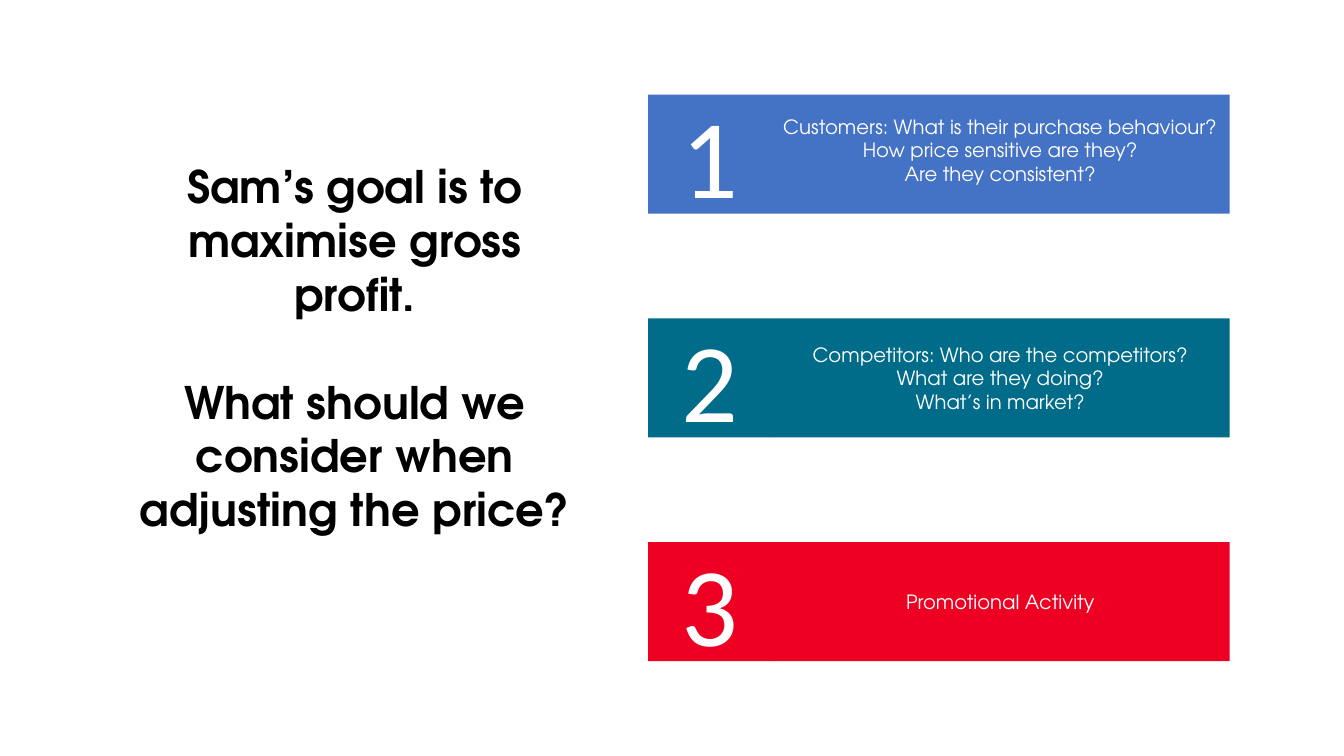
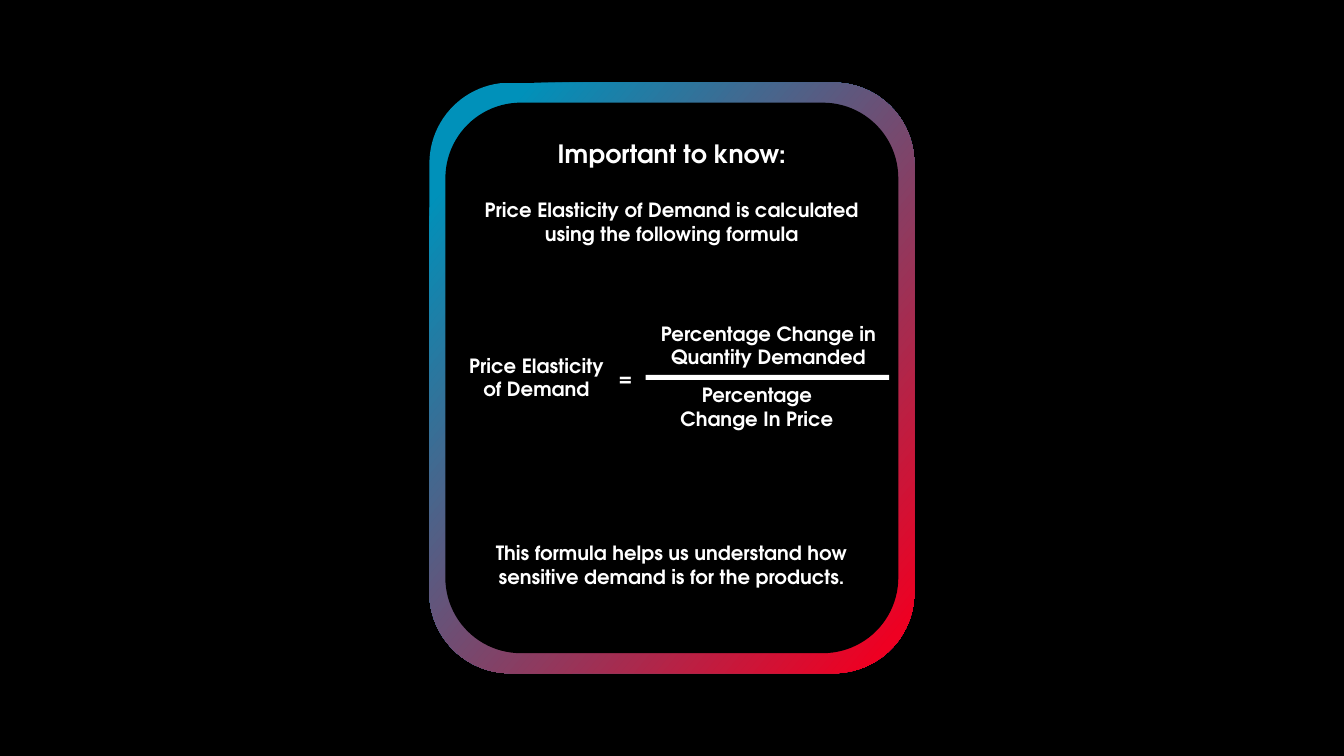
from dataclasses import dataclass

from pptx import Presentation
from pptx import util as u
from pptx.dml.color import RGBColor
from pptx.enum import shapes, text


@dataclass(frozen=True)
class Theme:
    """Colours, fonts and type sizes of the deck."""
    white: str = "FFFFFF"
    black: str = "000000"
    blue: str = "4472C4"
    teal: str = "006C8A"
    sky: str = "0091BA"
    red: str = "EE0022"
    face: str = "TeX Gyre Adventor"
    digit: str = "Calibri"
    body: int = 14
    head: int = 18
    title: int = 32
    huge: int = 80
    line: float = 1.2


@dataclass(frozen=True)
class Box:
    """A rectangle in inches."""
    x: float
    y: float
    w: float
    h: float

    def cut(self, x, y, w, h):
        """Return a part given in percent of this box."""
        return Box(self.x + self.w * x / 100, self.y + self.h * y / 100,
                   self.w * w / 100, self.h * h / 100)

    def place(self):
        """Return left, top, width and height as lengths."""
        return [u.Inches(n) for n in (self.x, self.y, self.w, self.h)]


T = Theme()
PAGE = Box(0, 0, 13.33, 7.5)
KIND = shapes.MSO_SHAPE
MIDDLE = text.MSO_ANCHOR.MIDDLE
TOP = text.MSO_ANCHOR.TOP


def panel(slide, box, fill=None, kind=KIND.RECTANGLE):
    """Add a plain shape without line or shadow."""
    shape = slide.shapes.add_shape(kind, *box.place())
    shape.shadow.inherit = False
    shape.line.fill.background()
    if fill:
        shape.fill.solid()
        shape.fill.fore_color.rgb = RGBColor.from_string(fill)
    return shape


def write(shape, *lines, size=T.body, face=T.face, color=T.white, bold=False,
          anchor=MIDDLE, gaps=(), sizes=(), top=0.05, foot=0.05):
    """Fill a shape with centred paragraphs in one format."""
    frame = shape.text_frame
    frame.word_wrap = True
    frame.vertical_anchor = anchor
    frame.margin_top, frame.margin_bottom = u.Inches(top), u.Inches(foot)
    for i, line in enumerate(lines):
        para = frame.paragraphs[0] if i == 0 else frame.add_paragraph()
        para.text = line
        para.alignment = text.PP_ALIGN.CENTER
        if i and gaps:
            para.space_before = u.Pt(gaps[i - 1])
        font = para.font
        font.size = u.Pt(sizes[i] if sizes else size)
        font.name, font.bold = face, bold
        font.color.rgb = RGBColor.from_string(color)


def label(slide, box, *lines, **form):
    """Add a text box."""
    write(slide.shapes.add_textbox(*box.place()), *lines, anchor=TOP, **form)


def band(slide, box, number, fill, lines, foot):
    """Draw a numbered band: digit on the left, points on the right."""
    share = 21.14
    write(panel(slide, box.cut(share, 0, 100 - share, 100), fill),
          *lines, foot=foot)
    write(panel(slide, box.cut(0, 0, share, 100), fill),
          str(number), size=T.huge, face=T.digit)


def stack(slide, box, rows):
    """Spread numbered bands evenly down a box."""
    high = 21
    step = (100 - high) / (len(rows) - 1)
    for i, row in enumerate(rows):
        band(slide, box.cut(0, i * step, 100, high), i + 1, *row)


def ring(slide, box):
    """Draw the gradient frame and return its black inner card."""
    outer = panel(slide, box, kind=KIND.ROUNDED_RECTANGLE)
    outer.fill.gradient()
    outer.fill.gradient_angle = 320
    stops = ((0.1, T.sky), (0.95, T.red))
    for stop, (where, color) in zip(outer.fill.gradient_stops, stops):
        stop.position = where
        stop.color.rgb = RGBColor.from_string(color)
    inner = box.cut(3.3, 3.4, 93.4, 93.2)
    return inner, panel(slide, inner, T.black, KIND.ROUNDED_RECTANGLE)


def ratio(slide, box):
    """Set the elasticity formula as a fraction inside a card."""
    parts = (
        ("Price Elasticity of Demand", (2.67, 44.69, 34.89, 10.44)),
        ("=", (35.78, 46.89, 8, 6.23)),
        ("Percentage Change in Quantity Demanded",
         (44.67, 38.83, 53.33, 10.44)),
        ("Percentage Change In Price", (49.56, 50, 38.44, 10.44)),
    )
    for words, spot in parts:
        label(slide, box.cut(*spot), words, bold=True)
    panel(slide, box.cut(44.22, 49.45, 53.78, 0.92), T.white)


def goals(slide):
    """Build the slide on pricing factors."""
    label(slide, PAGE.cut(8.55, 20.4, 35.7, 58.8),
          "Sam’s goal is to maximise gross profit.",
          "What should we consider when adjusting the price?",
          size=T.title, color=T.black, bold=True,
          gaps=[T.title * T.line])
    stack(slide, PAGE.cut(48.22, 12.53, 43.28, 74.93), (
        (T.blue, ("Customers: What is their purchase behaviour?",
                  "How price sensitive are they?",
                  "Are they consistent?"), 0.13),
        (T.teal, ("Competitors: Who are the competitors?",
                  "What are they doing?",
                  "What’s in market?"), 0.05),
        (T.red, ("Promotional Activity",), 0.05),
    ))


def formula(slide):
    """Build the slide on price elasticity."""
    back = slide.background.fill
    back.solid()
    back.fore_color.rgb = RGBColor.from_string(T.black)
    inner, card = ring(slide, PAGE.cut(31.95, 10.93, 36.08, 78.13))
    row = T.head * T.line
    write(card, "Important to know:",
          "Price Elasticity of Demand is calculated using the following formula",
          "This formula helps us understand how sensitive demand is for the products.",
          bold=True, anchor=TOP, top=0.13,
          sizes=(T.head, T.body, T.body),
          gaps=(row, 9 * row + T.body * T.line))
    ratio(slide, inner)


def main():
    """Build and save the deck."""
    deck = Presentation()
    deck.slide_width, deck.slide_height = PAGE.place()[2:]
    for build in (goals, formula):
        build(deck.slides.add_slide(deck.slide_layouts[6]))
    deck.save("out.pptx")


if __name__ == "__main__":
    main()
